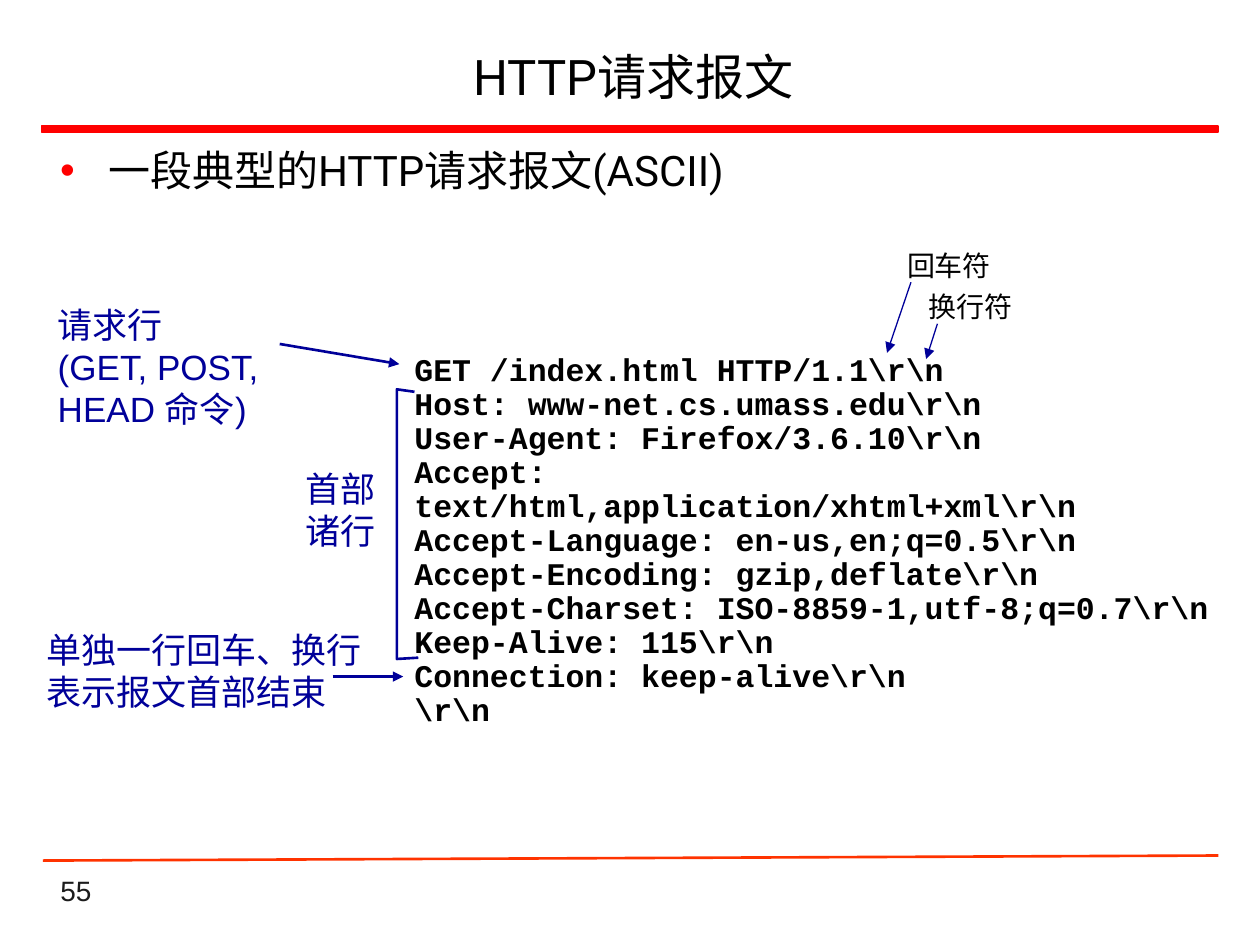
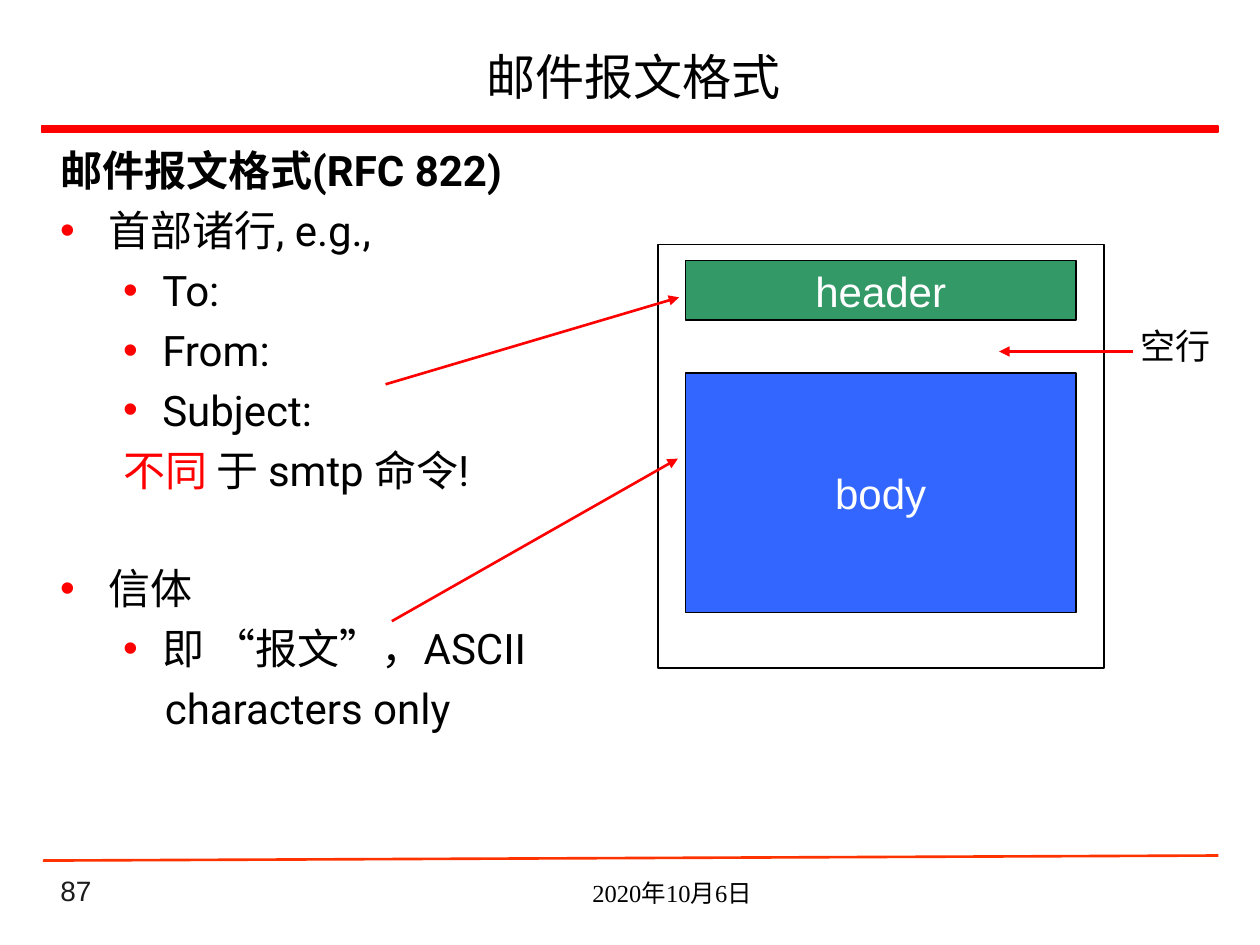
from lxml.etree import SubElement
from pptx import Presentation
from pptx.dml.color import RGBColor
from pptx.enum.shapes import MSO_CONNECTOR, MSO_SHAPE
from pptx.enum.text import MSO_ANCHOR, PP_ALIGN
from pptx.oxml.ns import qn
from pptx.util import Inches, Pt

COLORS = {
    "black": "000000",
    "white": "FFFFFF",
    "number": "1C1C1C",
    "red": "FF0000",
    "footer": "FF3300",
    "navy": "000099",
    "green": "339966",
    "blue": "3366FF",
}
SANS, CHINESE, CODE, SERIF, BODY = "Arial", "Noto Sans CJK SC", "Courier New", "Times New Roman", "Roboto"
LEVELS = {"plain": (0, 0), "top": (0.38, -0.38), "sub": (0.81, -0.31), "note": (0.5, 0), "more": (0.83, 0)}
BULLETED = ("top", "sub")
LINE_GAP = 5.4
BLANK_LINE = 33.5

REQUEST = [
    r"GET /index.html HTTP/1.1\r\n",
    r"Host: www-net.cs.umass.edu\r\n",
    r"User-Agent: Firefox/3.6.10\r\n",
    r"Accept: text/html,application/xhtml+xml\r\n",
    r"Accept-Language: en-us,en;q=0.5\r\n",
    r"Accept-Encoding: gzip,deflate\r\n",
    r"Accept-Charset: ISO-8859-1,utf-8;q=0.7\r\n",
    r"Keep-Alive: 115\r\n",
    r"Connection: keep-alive\r\n",
    r"\r\n",
]


class Lecture:
    """Holds the deck style and the current slide, and draws each kind of element."""

    def __init__(self):
        self.deck = Presentation()
        self.deck.slide_width, self.deck.slide_height = Inches(10), Inches(7.5)
        self.page = None

    def color(self, name):
        return RGBColor.from_string(COLORS[name])

    def style(self, paragraph, size, font, color, bold=False):
        paragraph.font.size = Pt(size)
        paragraph.font.name = font
        paragraph.font.bold = bold
        paragraph.font.color.rgb = self.color(color)

    def add_page(self, title, number):
        self.page = self.deck.slides.add_slide(self.deck.slide_layouts[6])
        self.text([str(number)], 0.38, 7, 2.08, 0.25, 16, color="number", anchor=MSO_ANCHOR.BOTTOM)
        self.rectangle(0.33, 1, 9.34, 0.05, "red", "red", 1)
        self.line((0.34, 6.83), (9.67, 6.79), "footer")
        self.text([title], 0.35, 0.25, 9.35, 0.7, 28, BODY,
                  align=PP_ALIGN.CENTER, anchor=MSO_ANCHOR.MIDDLE)

    def text(self, lines, left, top, width, height, size, font=SANS, color="black", bold=False,
             align=PP_ALIGN.LEFT, anchor=MSO_ANCHOR.TOP, wrap=True, spacing=None):
        box = self.page.shapes.add_textbox(Inches(left), Inches(top), Inches(width), Inches(height))
        frame = box.text_frame
        frame.word_wrap = wrap
        frame.vertical_anchor = anchor
        frame.text = "\n".join(lines)
        for paragraph in frame.paragraphs:
            paragraph.alignment = align
            paragraph.line_spacing = spacing
            self.style(paragraph, size, font, color, bold)

    def outline(self, items, width):
        box = self.page.shapes.add_textbox(Inches(0.38), Inches(1.1), Inches(width), Inches(5.64))
        frame = box.text_frame
        frame.word_wrap = True
        for index, (level, spans, extra_gap) in enumerate(items):
            paragraph = frame.add_paragraph() if index else frame.paragraphs[0]
            if index:
                paragraph.space_before = Pt(LINE_GAP + extra_gap)
            self.indent(paragraph, level)
            self.style(paragraph, 24, BODY, "black", level == "plain")
            for words, color in spans:
                span = paragraph.add_run()
                span.text = words
                if color != "black":
                    span.font.color.rgb = self.color(color)

    def indent(self, paragraph, level):
        margin, first = LEVELS[level]
        properties = paragraph._p.get_or_add_pPr()
        properties.set("marL", str(Inches(margin)))
        properties.set("indent", str(Inches(first)))
        if level in BULLETED:
            bullet_color = SubElement(properties, qn("a:buClr"))
            SubElement(bullet_color, qn("a:srgbClr"), val=COLORS["red"])
            SubElement(properties, qn("a:buFont"), typeface=SANS)
            SubElement(properties, qn("a:buChar"), char="•")

    def rectangle(self, left, top, width, height, fill, line, weight, label=None):
        shape = self.page.shapes.add_shape(
            MSO_SHAPE.RECTANGLE, Inches(left), Inches(top), Inches(width), Inches(height))
        shape.shadow.inherit = False
        if fill:
            shape.fill.solid()
            shape.fill.fore_color.rgb = self.color(fill)
        else:
            shape.fill.background()
        shape.line.color.rgb = self.color(line)
        shape.line.width = Pt(weight)
        if label:
            frame = shape.text_frame
            frame.text = label
            frame.vertical_anchor = MSO_ANCHOR.MIDDLE
            frame.paragraphs[0].alignment = PP_ALIGN.CENTER
            self.style(frame.paragraphs[0], 24, SANS, "white")

    def line(self, start, end, color, weight=1.5, arrow=False):
        connector = self.page.shapes.add_connector(
            MSO_CONNECTOR.STRAIGHT, *(Inches(value) for value in (*start, *end)))
        connector.line.color.rgb = self.color(color)
        connector.line.width = Pt(weight)
        if arrow:
            SubElement(connector.line._get_or_add_ln(), qn("a:tailEnd"), type="triangle")
        SubElement(connector._element.spPr, qn("a:effectLst"))

    def bracket(self, points, color):
        corners = [(Inches(x), Inches(y)) for x, y in points]
        builder = self.page.shapes.build_freeform(*corners[0])
        builder.add_line_segments(corners[1:], close=False)
        shape = builder.convert_to_shape()
        shape.shadow.inherit = False
        shape.fill.background()
        shape.line.color.rgb = self.color(color)
        shape.line.width = Pt(1.5)


def add_request_page(lecture):
    """Draws the HTTP request with its annotated parts."""
    lecture.add_page("HTTP请求报文", 55)
    lecture.outline([("top", [("一段典型的HTTP请求报文(ASCII)", "black")], 0)], 9.34)
    lecture.text(["请求行", "(GET, POST,", "HEAD 命令)"], 0.36, 2.36, 1.88, 1.11, 20,
                 color="navy", wrap=False)
    lecture.bracket([(3.29, 3.11), (3.15, 3.09), (3.15, 5.23), (3.32, 5.22)], "navy")
    lecture.text(["首部", "诸行"], 2.18, 3.66, 0.9, 0.77, 20, CHINESE, "navy",
                 align=PP_ALIGN.RIGHT, wrap=False)
    lecture.text(["单独一行回车、换行表示报文首部结束"], 0.27, 4.94, 2.81, 0.77, 20, CHINESE, "navy")
    lecture.text(REQUEST, 3.19, 2.76, 6.62, 2.81, 18, CODE, bold=True, spacing=0.9)
    for label, left, top in (("回车符", 7.1, 1.92), ("换行符", 7.27, 2.25)):
        lecture.text([label], left, top, 0.88, 0.37, 16, CHINESE, wrap=False)
    for start, end, weight in (
        ((2.22, 2.73), (3.17, 2.89), 1.5),
        ((2.64, 5.37), (3.2, 5.37), 1.5),
        ((7.23, 2.24), (7.04, 2.8), 0.75),
        ((7.44, 2.57), (7.35, 2.85), 0.75),
    ):
        lecture.line(start, end, "navy", weight, arrow=True)


def add_mail_page(lecture):
    """Draws the mail message format beside its outline."""
    lecture.add_page("邮件报文格式", 87)
    lecture.text(["2020年10月6日"], 3.42, 6.92, 3.83, 0.34, 14, SERIF, align=PP_ALIGN.CENTER)
    lecture.outline([
        ("plain", [("邮件报文格式(RFC 822)", "black")], 0),
        ("top", [("首部诸行, e.g.,", "black")], 0),
        *(("sub", [(field, "black")], 0) for field in ("To:", "From:", "Subject:")),
        ("note", [("不同 ", "red"), ("于 smtp 命令!", "black")], 0),
        ("top", [("信体", "black")], BLANK_LINE),
        ("sub", [("即 “报文”，ASCII", "black")], 0),
        ("more", [("characters only", "black")], 0),
    ], 4.34)
    lecture.rectangle(5.44, 2.07, 3.1, 0.47, "green", "black", 0.75, "header")
    lecture.rectangle(5.44, 2.96, 3.1, 1.9, "blue", "black", 0.75, "body")
    lecture.rectangle(5.22, 1.94, 3.54, 3.36, None, "black", 1)
    lecture.text(["空行"], 8.95, 2.53, 0.76, 0.43, 20, align=PP_ALIGN.CENTER, wrap=False)
    for start, end in (
        ((8.99, 2.79), (7.93, 2.79)),
        ((3.06, 3.05), (5.39, 2.36)),
        ((3.11, 4.93), (5.38, 3.64)),
    ):
        lecture.line(start, end, "red", arrow=True)


def main():
    """Builds and saves both pages."""
    lecture = Lecture()
    add_request_page(lecture)
    add_mail_page(lecture)
    lecture.deck.save("out.pptx")


if __name__ == "__main__":
    main()
